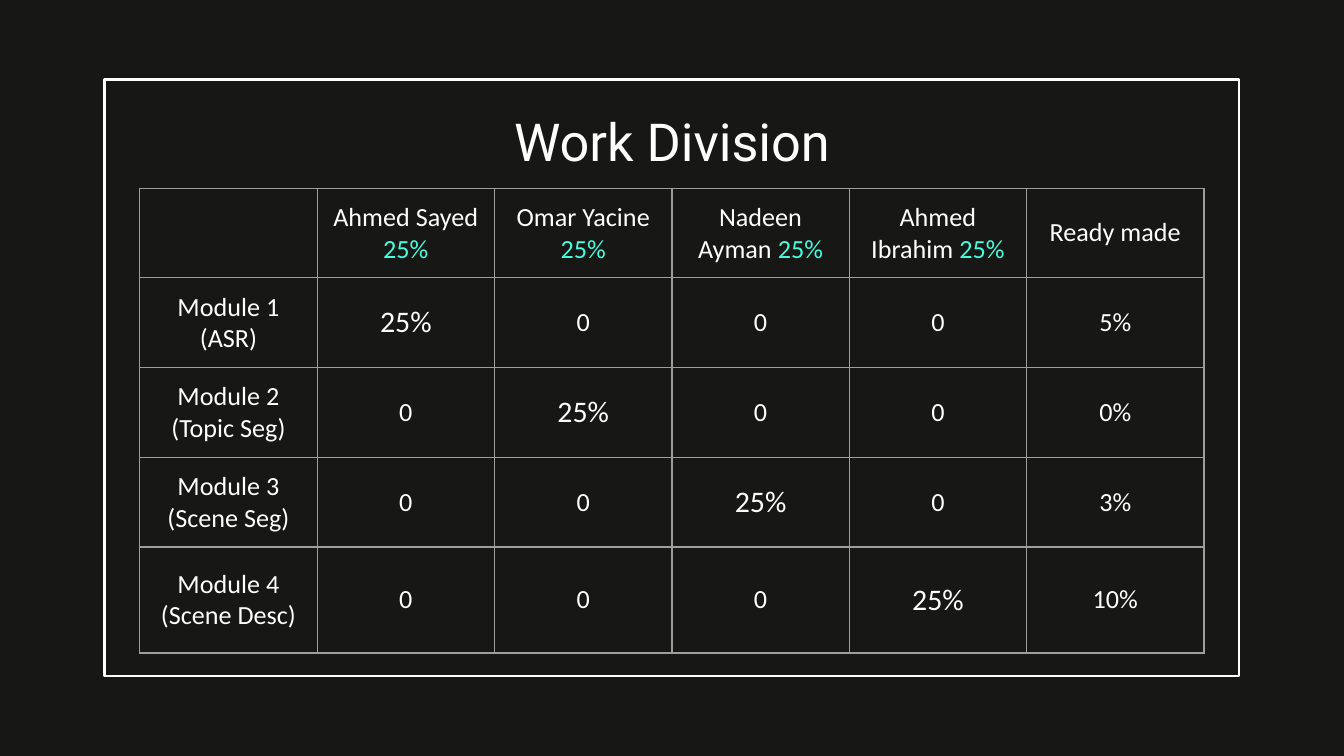
"""Build the work division slide."""
from dataclasses import dataclass

from lxml.etree import SubElement
from pptx import Presentation
from pptx.dml.color import RGBColor
from pptx.enum.shapes import MSO_SHAPE
from pptx.enum.text import MSO_ANCHOR, PP_ALIGN
from pptx.oxml.ns import qn
from pptx.util import Inches, Pt


@dataclass(frozen=True)
class Theme:
    back: str = "171715"
    text: str = "FFFFFF"
    accent: str = "46FCDD"
    rule: str = "9E9E9E"
    head: str = "Roboto"
    body: str = "Calibri"
    title: int = 28
    large: int = 16
    small: int = 14
    frame: float = 1.5
    grid: float = 0.75
    inset: float = 0.1


class Deck:
    def __init__(self, theme):
        self.theme = theme
        self.file = Presentation()
        self.file.slide_width = Inches(10)
        self.file.slide_height = Inches(10 * 9 / 16)
        self.slide = self.file.slides.add_slide(self.file.slide_layouts[6])
        fill = self.slide.background.fill
        fill.solid()
        fill.fore_color.rgb = RGBColor.from_string(theme.back)

    def frame(self, *box):
        shape = self.slide.shapes.add_shape(MSO_SHAPE.RECTANGLE, *map(Inches, box))
        shape.shadow.inherit = False
        shape.fill.background()
        shape.line.color.rgb = RGBColor.from_string(self.theme.text)
        shape.line.width = Pt(self.theme.frame)

    def pad(self, item):
        gap = Inches(self.theme.inset)
        item.margin_left = item.margin_right = gap
        item.margin_top = item.margin_bottom = gap

    def style(self, para, face, size):
        para.alignment = PP_ALIGN.CENTER
        para.font.name = face
        para.font.size = Pt(size)
        para.font.color.rgb = RGBColor.from_string(self.theme.text)

    def title(self, text, *box):
        frame = self.slide.shapes.add_textbox(*map(Inches, box)).text_frame
        frame.word_wrap = True
        self.pad(frame)
        para = frame.paragraphs[0]
        para.text = text
        self.style(para, self.theme.head, self.theme.title)

    def border(self, cell):
        props = cell._tc.get_or_add_tcPr()
        for side in ("lnL", "lnR", "lnT", "lnB"):
            line = SubElement(props, qn(f"a:{side}"), w=str(Pt(self.theme.grid)))
            fill = SubElement(line, qn("a:solidFill"))
            SubElement(fill, qn("a:srgbClr"), val=self.theme.rule)

    def cell(self, cell, text, share=""):
        self.border(cell)
        cell.fill.background()
        cell.vertical_anchor = MSO_ANCHOR.MIDDLE
        self.pad(cell)
        cell.text = text
        size = self.theme.large if text == "25%" else self.theme.small
        for para in cell.text_frame.paragraphs:
            self.style(para, self.theme.body, size)
        if share:
            run = cell.text_frame.paragraphs[0].add_run()
            run.text = share
            run.font.color.rgb = RGBColor.from_string(self.theme.accent)

    def table(self, left, top, wide, heights, people, rows):
        cols = len(people)
        shape = self.slide.shapes.add_table(
            len(heights), cols, Inches(left), Inches(top),
            Inches(wide * cols), Inches(sum(heights)))
        table = shape.table
        table.first_row = table.horz_banding = False
        for col in table.columns:
            col.width = Inches(wide)
        for row, high in zip(table.rows, heights):
            row.height = Inches(high)
        for c, head in enumerate(people):
            self.cell(table.cell(0, c), *head)
        for r, row in enumerate(rows, 1):
            for c, text in enumerate(row):
                self.cell(table.cell(r, c), text)


def main():
    deck = Deck(Theme())
    deck.frame(0.78, 0.59, 8.44, 4.44)
    deck.title("Work Division", 0.78, 0.71, 8.44, 0.52)
    names = ["Ahmed Sayed ", "Omar Yacine ", "Nadeen Ayman ", "Ahmed Ibrahim "]
    people = [("",), *((name, "25%") for name in names), ("Ready made",)]
    tasks = [
        ("Module 1 (ASR)", "5%"),
        ("Module 2\n(Topic Seg)", "0%"),
        ("Module 3\n(Scene Seg)", "3%"),
        ("Module 4\n(Scene Desc)", "10%"),
    ]
    rows = [
        [task, *("25%" if c == r else "0" for c in range(len(names))), made]
        for r, (task, made) in enumerate(tasks)
    ]
    deck.table(1.04, 1.4, 1.32, [0.59] * 4 + [0.79], people, rows)
    deck.file.save("out.pptx")


if __name__ == "__main__":
    main()
